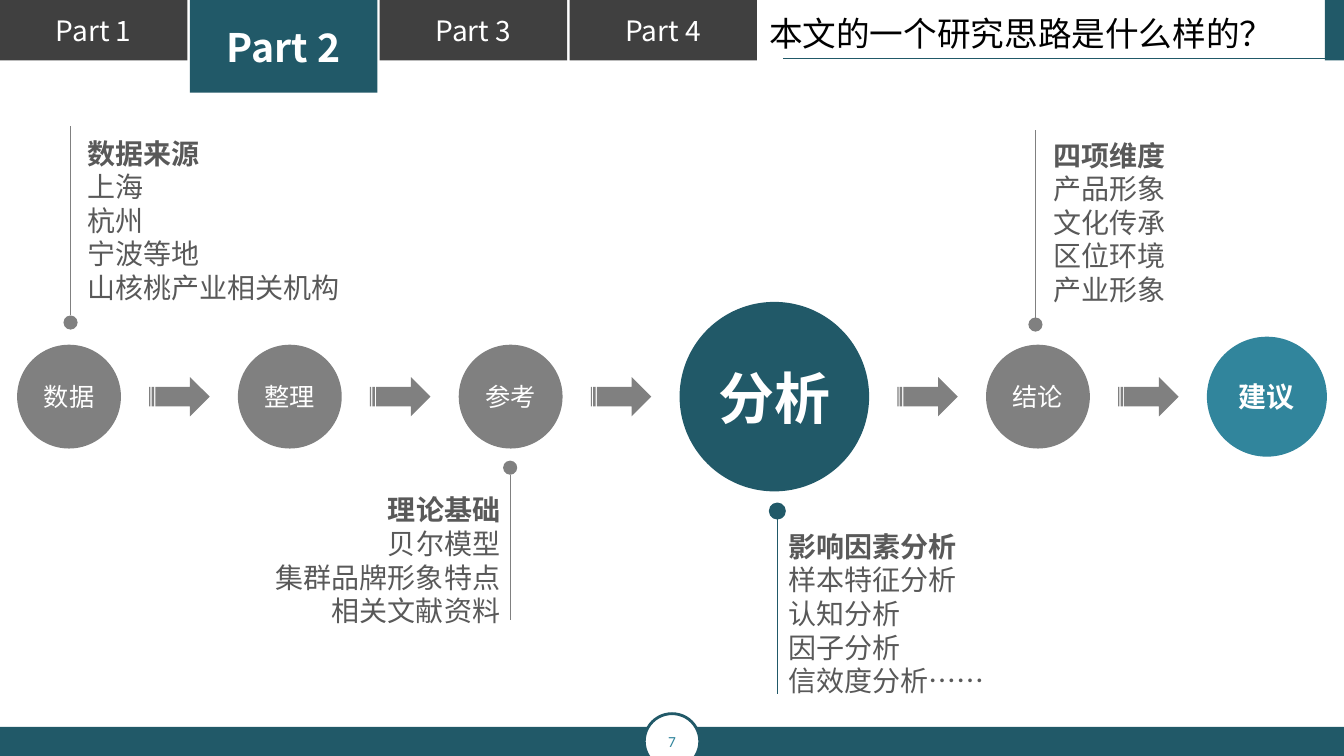
from lxml import etree
from pptx import Presentation
from pptx.dml.color import RGBColor
from pptx.enum.shapes import MSO_CONNECTOR, MSO_SHAPE
from pptx.enum.text import MSO_ANCHOR, PP_ALIGN
from pptx.oxml.ns import qn
from pptx.util import Inches, Pt

RECTANGLE = MSO_SHAPE.RECTANGLE
OVAL = MSO_SHAPE.OVAL
ARROW = MSO_SHAPE.STRIPED_RIGHT_ARROW
STRAIGHT = MSO_CONNECTOR.STRAIGHT
MIDDLE = MSO_ANCHOR.MIDDLE
LEFT, CENTER, RIGHT = PP_ALIGN.LEFT, PP_ALIGN.CENTER, PP_ALIGN.RIGHT

FONT = "Noto Sans CJK SC"
NUMBER_FONT = "Calibri"
COLORS = {
    "teal": "215968",
    "light_teal": "31859C",
    "tab": "404040",
    "gray": "808080",
    "text": "595959",
    "white": "FFFFFF",
    "black": "000000",
}
WIDTH, HEIGHT = 13.33, 7.5
DOT = 0.14


def rgb(name):
    return RGBColor.from_string(COLORS[name])


def style_paragraph(paragraph, size, color, bold=False, align=LEFT, font=FONT):
    paragraph.alignment = align
    for run in paragraph.runs:
        run.font.size = Pt(size)
        run.font.bold = bold
        run.font.name = font
        run.font.color.rgb = rgb(color)
        east_asian = etree.SubElement(run.font._element, qn("a:ea"))
        east_asian.set("typeface", font)


def add_block(slide, kind, box, fill, line=None):
    shape = slide.shapes.add_shape(kind, *map(Inches, box))
    shape.shadow.inherit = False
    shape.fill.solid()
    shape.fill.fore_color.rgb = rgb(fill)
    if line:
        shape.line.color.rgb = rgb(line)
        shape.line.width = Pt(2)
    else:
        shape.line.fill.background()
    return shape


def add_label(shape, text, size, color="white", bold=False, font=FONT):
    """Centre one line of text in a shape."""
    frame = shape.text_frame
    frame.margin_left = frame.margin_right = 0
    frame.margin_top = frame.margin_bottom = 0
    frame.vertical_anchor = MIDDLE
    frame.text = text
    style_paragraph(frame.paragraphs[0], size, color, bold, CENTER, font)


def add_line(slide, start, end, color):
    line = slide.shapes.add_connector(STRAIGHT, *map(Inches, start + end))
    line.line.color.rgb = rgb(color)
    line.line.width = Pt(0.75)
    etree.SubElement(line._element.spPr, qn("a:effectLst"))


def add_text(slide, box, lines, size, color, bold_first=False, align=LEFT, wrap=False):
    frame = slide.shapes.add_textbox(*map(Inches, box)).text_frame
    frame.word_wrap = wrap
    frame.margin_top = Inches(0.08)
    frame.text = "\n".join(lines)
    for index, paragraph in enumerate(frame.paragraphs):
        paragraph.line_spacing = Pt(1.2 * size)
        style_paragraph(paragraph, size, color, bold_first and index == 0, align)


def draw_header(slide, title, active_tab):
    step, tab_width, tab_height = 1.883, 1.86, 0.6
    for index in range(4):
        active = index + 1 == active_tab
        box = (index * step, 0, tab_width, 0.92 if active else tab_height)
        tab = add_block(slide, RECTANGLE, box, "teal" if active else "tab")
        add_label(tab, f"Part {index + 1}", 28 if active else 20, bold=active)
    add_block(slide, RECTANGLE, (13.14, 0, WIDTH - 13.14, tab_height), "teal")
    add_line(slide, (13.24, 0.58), (7.77, 0.58), "teal")
    add_text(slide, (7.53, 0.05, 5.51, 0.5), [title], 24, "black", wrap=True)


def draw_footer(slide, number):
    add_block(slide, RECTANGLE, (0, 7.21, WIDTH, HEIGHT - 7.21), "teal")
    badge = add_block(slide, OVAL, (6.39, 7.08, 0.55, 0.55), "white", "teal")
    add_label(badge, number, 11, "light_teal", font=NUMBER_FONT)


def draw_flow(slide, left, middle, steps):
    """Lay circles out from left to right with an arrow between neighbours."""
    gap, arrow_width, arrow_height = 0.28, 0.6, 0.39
    for index, (text, diameter, fill, size, bold) in enumerate(steps):
        if index:
            left += gap
            add_block(slide, ARROW, (left, middle - arrow_height / 2,
                                     arrow_width, arrow_height), "gray")
            left += arrow_width + gap
        circle = add_block(slide, OVAL, (left, middle - diameter / 2,
                                         diameter, diameter), fill)
        add_label(circle, text, size, bold=bold)
        left += diameter


def draw_callout(slide, dot_center, stem_end, box, lines, color="gray",
                 outline=None, align=LEFT):
    """Draw a dot, a stem running up or down from it, and the text beside it."""
    x, y = dot_center
    radius = DOT / 2
    add_block(slide, OVAL, (x - radius, y - radius, DOT, DOT), color, outline)
    stem_start = y + radius if stem_end > y else y - radius
    add_line(slide, (x, stem_start), (x, stem_end), color)
    add_text(slide, box, lines, 20, "text", bold_first=True, align=align)


def main():
    presentation = Presentation()
    presentation.slide_width = Inches(WIDTH)
    presentation.slide_height = Inches(HEIGHT)
    slide = presentation.slides.add_slide(presentation.slide_layouts[6])

    draw_header(slide, "本文的一个研究思路是什么样的？", active_tab=2)
    draw_footer(slide, "7")
    draw_flow(slide, 0.17, 3.935, [
        ("数据", 1.03, "gray", 18, False),
        ("整理", 1.03, "gray", 18, False),
        ("参考", 1.03, "gray", 18, False),
        ("分析", 1.88, "teal", 40, True),
        ("结论", 1.03, "gray", 18, False),
        ("建议", 1.19, "light_teal", 20, True),
    ])
    draw_callout(slide, (0.7, 3.2), 1.25, (0.77, 1.27, 2.73, 1.78),
                 ["数据来源", "上海", "杭州", "宁波等地", "山核桃产业相关机构"])
    draw_callout(slide, (5.06, 4.64), 6.15, (2.61, 4.81, 2.45, 1.45),
                 ["理论基础", "贝尔模型", "集群品牌形象特点", "相关文献资料"],
                 align=RIGHT)
    draw_callout(slide, (10.27, 3.22), 1.29, (10.35, 1.29, 1.32, 1.78),
                 ["四项维度", "产品形象", "文化传承", "区位环境", "产业形象"])
    draw_callout(slide, (7.71, 5.07), 6.89, (7.72, 5.17, 2.62, 1.96),
                 ["影响因素分析", "样本特征分析", "认知分析", "因子分析",
                  "信效度分析……"], color="teal", outline="teal")

    presentation.save("out.pptx")


if __name__ == "__main__":
    main()
